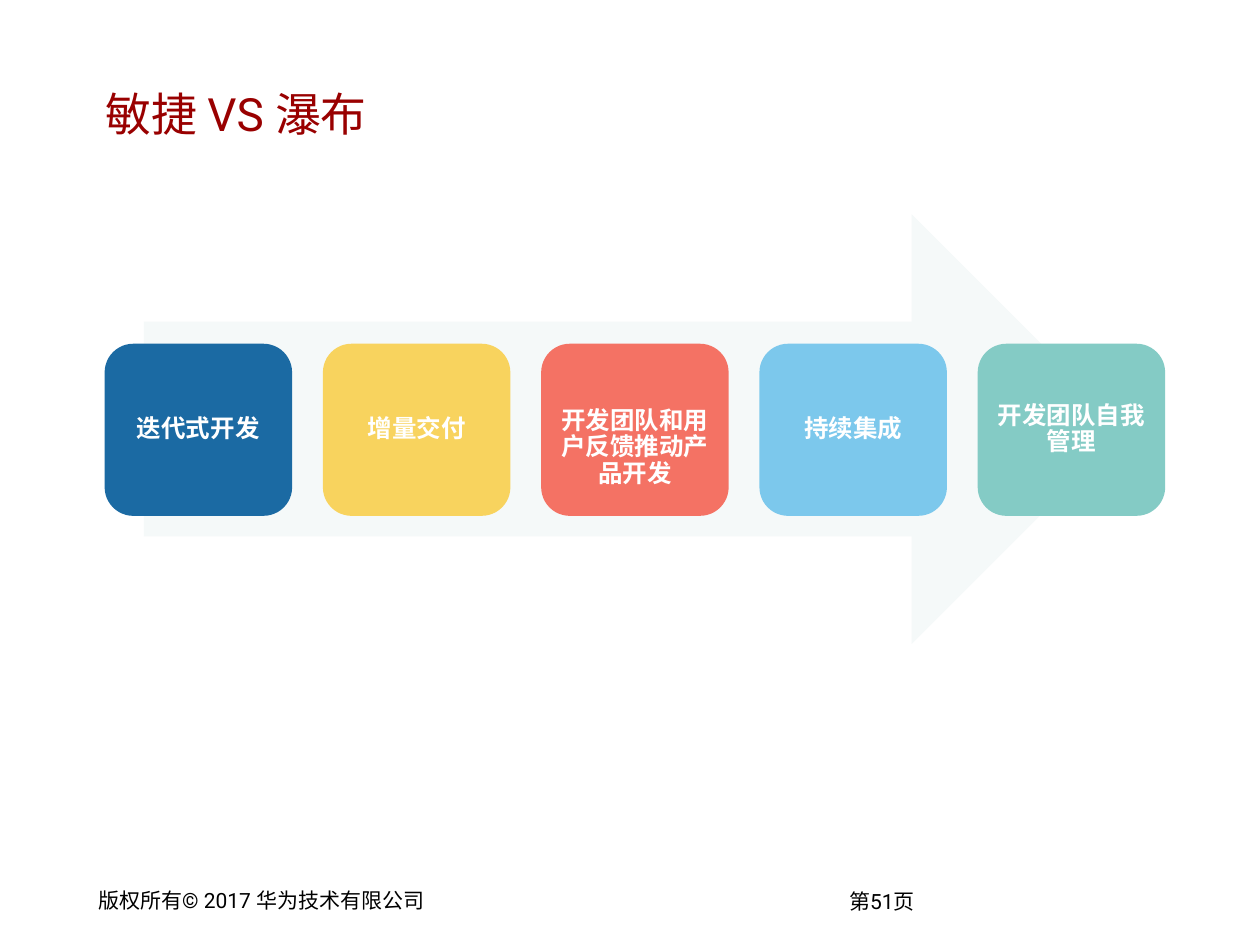
from dataclasses import dataclass

from lxml.etree import SubElement
from pptx import Presentation
from pptx.dml.color import RGBColor
from pptx.enum.shapes import MSO_SHAPE
from pptx.enum.text import MSO_ANCHOR, PP_ALIGN
from pptx.oxml.ns import qn
from pptx.util import Cm, Pt


@dataclass(frozen=True)
class Theme:
    font: str = "Roboto"
    title: str = "990000"
    footer: str = "000000"
    card_text: str = "FFFFFF"
    arrow: str = "DEECEC"
    arrow_opacity: int = 30
    title_size: float = 26.2
    card_size: float = 14
    footer_size: float = 12


THEME = Theme()

TITLE = "敏捷 VS 瀑布"
COPYRIGHT = "版权所有© 2017 华为技术有限公司"
PAGE = "第51页"
PRACTICES = [
    {"label": "迭代式开发", "color": "1B6AA3"},
    {"label": "增量交付", "color": "F8D35E"},
    {"label": "开发团队和用户反馈推动产品开发", "color": "F47264", "drop": 0.73},
    {"label": "持续集成", "color": "7CC8EC"},
    {"label": "开发团队自我管理", "color": "84CBC5"},
]

CARD_LEFT, CARD_TOP = 2.11, 6.93
CARD_WIDTH, CARD_HEIGHT = 3.78, 3.47
CARD_PITCH = 4.4
CARD_INSET = 0.15


def write(holder, text, *, size, color, insets, bold=False,
          align=PP_ALIGN.LEFT, anchor=MSO_ANCHOR.TOP, line_spacing=1.0):
    frame = holder.text_frame
    frame.word_wrap = True
    frame.vertical_anchor = anchor
    (frame.margin_left, frame.margin_top,
     frame.margin_right, frame.margin_bottom) = [Cm(inset) for inset in insets]
    paragraph = frame.paragraphs[0]
    paragraph.alignment = align
    paragraph.line_spacing = line_spacing
    run = paragraph.add_run()
    run.text = text
    run.font.name = THEME.font
    run.font.size = Pt(size)
    run.font.bold = bold
    run.font.color.rgb = RGBColor.from_string(color)


def add_block(slide, preset, bounds, color):
    block = slide.shapes.add_shape(preset, *[Cm(length) for length in bounds])
    block.shadow.inherit = False
    block.fill.solid()
    block.fill.fore_color.rgb = RGBColor.from_string(color)
    block.line.fill.background()
    return block


def add_label(slide, bounds, text, **style):
    label = slide.shapes.add_textbox(*[Cm(length) for length in bounds])
    write(label, text, **style)


def add_arrow(slide):
    arrow = add_block(slide, MSO_SHAPE.RIGHT_ARROW, (2.9, 4.32, 19.81, 8.66), THEME.arrow)
    tint = arrow.fill._xPr.find(qn("a:solidFill"))[0]
    SubElement(tint, qn("a:alpha"), val=str(THEME.arrow_opacity * 1000))


def add_cards(slide):
    for index, practice in enumerate(PRACTICES):
        left = CARD_LEFT + index * CARD_PITCH
        card = add_block(slide, MSO_SHAPE.ROUNDED_RECTANGLE,
                         (left, CARD_TOP, CARD_WIDTH, CARD_HEIGHT), practice["color"])
        top_inset = CARD_INSET + practice.get("drop", 0)
        write(card, practice["label"], size=THEME.card_size, color=THEME.card_text,
              insets=(CARD_INSET, top_inset, CARD_INSET, CARD_INSET), bold=True,
              align=PP_ALIGN.CENTER, anchor=MSO_ANCHOR.MIDDLE, line_spacing=0.9)


def main():
    deck = Presentation()
    deck.slide_width, deck.slide_height = Cm(25.4), Cm(19.05)
    slide = deck.slides.add_slide(deck.slide_layouts[6])

    footer_style = {"size": THEME.footer_size, "color": THEME.footer,
                    "insets": (0.18, 0.08, 0.18, 0.08)}
    add_label(slide, (16.94, 17.83, 2.4, 0.69), PAGE, **footer_style)
    add_label(slide, (1.8, 17.81, 8, 0.69), COPYRIGHT, **footer_style)
    add_arrow(slide)
    add_cards(slide)
    add_label(slide, (1.9, 1.07, 21.44, 2.41), TITLE, size=THEME.title_size,
              color=THEME.title, insets=(0.23, 0.1, 0.23, 0.1), anchor=MSO_ANCHOR.MIDDLE)

    deck.save("out.pptx")


if __name__ == "__main__":
    main()
